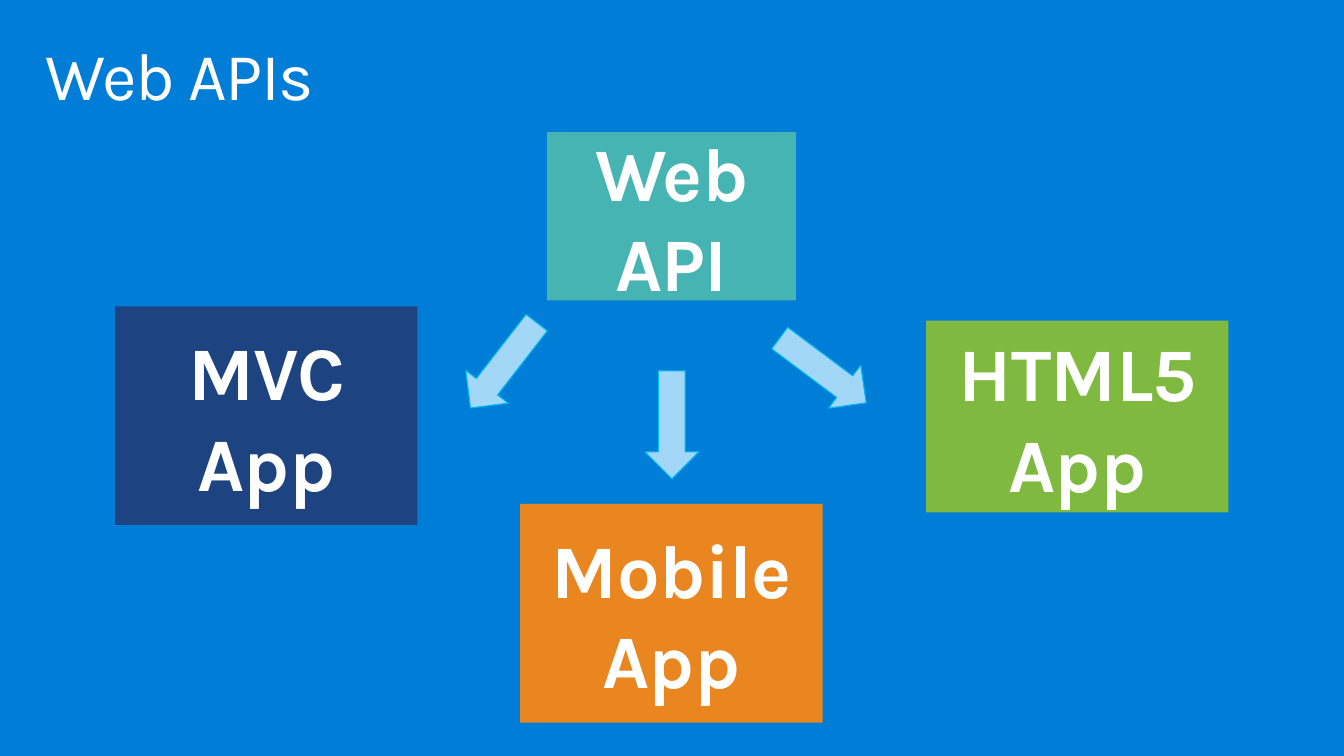
"""Build a slide showing one Web API serving three kinds of app."""
from dataclasses import dataclass

from pptx import Presentation
from pptx.dml.color import RGBColor
from pptx.enum.shapes import MSO_SHAPE
from pptx.enum.text import MSO_ANCHOR, PP_ALIGN
from pptx.slide import Slide
from pptx.text.text import TextFrame
from pptx.util import Cm, Pt

RECTANGLE = MSO_SHAPE.RECTANGLE
RIGHT_ARROW = MSO_SHAPE.RIGHT_ARROW
TOP = MSO_ANCHOR.TOP
MIDDLE = MSO_ANCHOR.MIDDLE
LEFT = PP_ALIGN.LEFT
CENTER = PP_ALIGN.CENTER

FONT = "Karla"
BACKGROUND = "007ED7"
WHITE = "FFFFFF"
ARROW_FILL = "A2D7F7"
ARROW_LINE = "00BCF2"
ARROW_WIDTH = 2.72
ARROW_HEIGHT = 1.35


@dataclass(frozen=True)
class Box:
    label: str
    left: float
    top: float
    width: float
    height: float
    fill: str


@dataclass(frozen=True)
class Arrow:
    left: float
    top: float
    rotation: float


BOXES = (
    Box("MVC App", 2.9, 7.72, 7.62, 5.51, "1D4380"),
    Box("HTML5 App", 23.34, 8.08, 7.62, 4.83, "80B940"),
    Box("Web API", 13.79, 3.33, 6.27, 4.24, "46B4B2"),
    Box("Mobile App", 13.11, 12.7, 7.62, 5.51, "E98620"),
)
ARROWS = (
    Arrow(15.57, 10.03, 90),
    Arrow(11.33, 8.53, 127.8),
    Arrow(19.38, 8.66, 36.8),
)


def color(value: str) -> RGBColor:
    """Turn a hex string into a colour."""
    return RGBColor.from_string(value)


def write_text(frame: TextFrame, text: str, size: float, bold: bool, spacing: float,
               alignment: PP_ALIGN, anchor: MSO_ANCHOR,
               side_margin: float, end_margin: float) -> None:
    """Fill a text frame with one white run."""
    frame.word_wrap = True
    frame.vertical_anchor = anchor
    frame.margin_left = frame.margin_right = Cm(side_margin)
    frame.margin_top = frame.margin_bottom = Cm(end_margin)
    paragraph = frame.paragraphs[0]
    paragraph.alignment = alignment
    run = paragraph.add_run()
    run.text = text
    run.font.name = FONT
    run.font.size = Pt(size)
    run.font.bold = bold
    run.font.color.rgb = color(WHITE)
    run.font._element.set("spc", str(round(spacing * 100)))


def draw_title(slide: Slide, text: str) -> None:
    """Draw the slide heading."""
    shape = slide.shapes.add_textbox(Cm(0.74), Cm(0.81), Cm(32.36), Cm(2.49))
    write_text(shape.text_frame, text, 48, False, -1, LEFT, TOP, 0.41, 0.25)
    shape.text_frame.paragraphs[0].line_spacing = 0.9


def draw_box(slide: Slide, box: Box) -> None:
    """Draw a labelled box."""
    shape = slide.shapes.add_shape(
        RECTANGLE, Cm(box.left), Cm(box.top), Cm(box.width), Cm(box.height))
    shape.shadow.inherit = False
    shape.fill.solid()
    shape.fill.fore_color.rgb = color(box.fill)
    shape.line.fill.background()
    write_text(shape.text_frame, box.label, 54, True, -0.5, CENTER, MIDDLE, 0.13, 0.13)


def draw_arrow(slide: Slide, arrow: Arrow) -> None:
    """Draw a block arrow turned towards an app."""
    shape = slide.shapes.add_shape(
        RIGHT_ARROW, Cm(arrow.left), Cm(arrow.top), Cm(ARROW_WIDTH), Cm(ARROW_HEIGHT))
    shape.rotation = arrow.rotation
    shape.shadow.inherit = False
    shape.fill.solid()
    shape.fill.fore_color.rgb = color(ARROW_FILL)
    shape.line.color.rgb = color(ARROW_LINE)
    shape.line.width = Pt(0.75)


def main() -> None:
    """Build and save the presentation."""
    presentation = Presentation()
    presentation.slide_width = Cm(33.87)
    presentation.slide_height = Cm(19.05)
    slide = presentation.slides.add_slide(presentation.slide_layouts[6])
    slide.background.fill.solid()
    slide.background.fill.fore_color.rgb = color(BACKGROUND)
    draw_title(slide, "Web APIs")
    for box in BOXES:
        draw_box(slide, box)
    for arrow in ARROWS:
        draw_arrow(slide, arrow)
    presentation.save("out.pptx")


if __name__ == "__main__":
    main()
